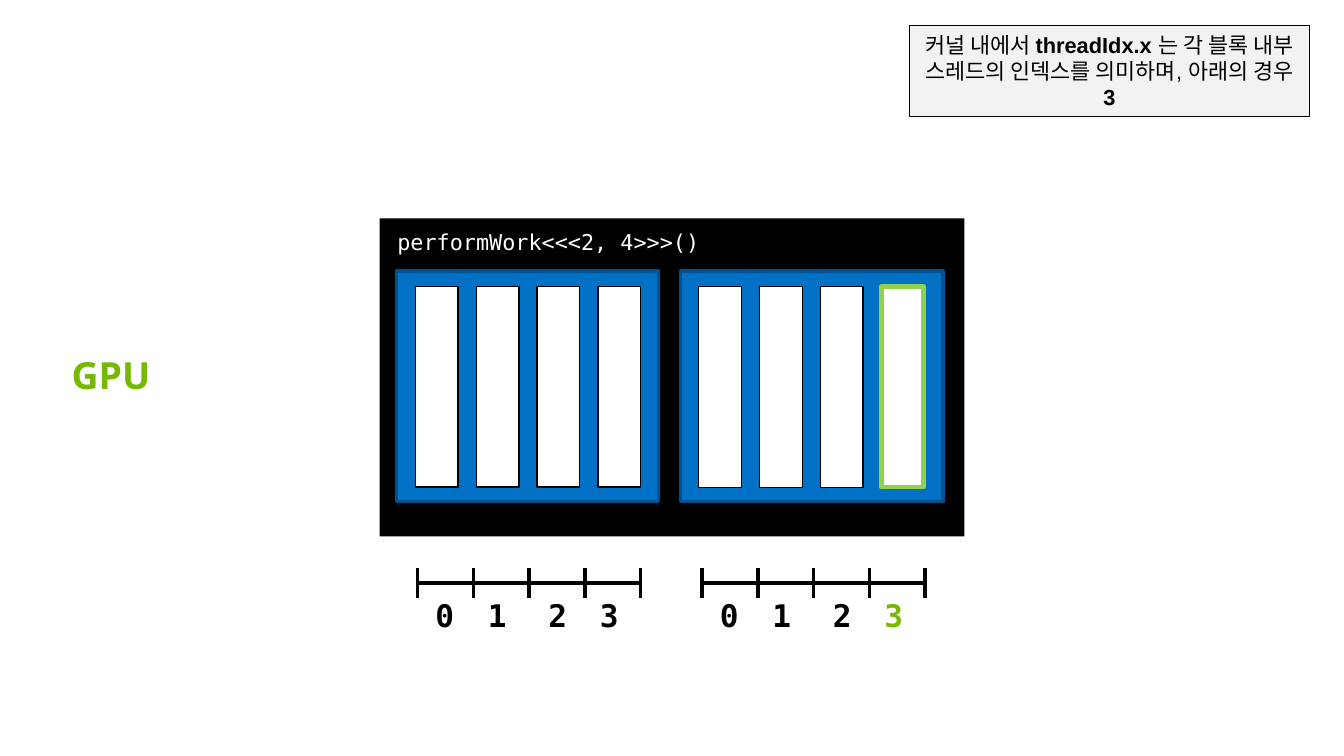
from lxml import etree
from pptx import Presentation
from pptx import util as u
from pptx.dml import color
from pptx.enum import shapes, text
from pptx.oxml import ns

Inches, Pt = u.Inches, u.Pt
BLACK, WHITE, GREEN = "000000", "FFFFFF", "76B900"
MONO = "DejaVu Sans Mono"
LEFT, CENTER = text.PP_ALIGN.LEFT, text.PP_ALIGN.CENTER
TOP, MIDDLE, BOTTOM = text.MSO_ANCHOR.TOP, text.MSO_ANCHOR.MIDDLE, text.MSO_ANCHOR.BOTTOM
THREADS = 4


def rgb(value):
    return color.RGBColor.from_string(value)


def add_rect(parent, left, top, width, height, fill, line=None, weight=0.75):
    rect = parent.shapes.add_shape(shapes.MSO_SHAPE.RECTANGLE, Inches(left), Inches(top),
                                   Inches(width), Inches(height))
    rect.shadow.inherit = False
    rect.fill.solid()
    rect.fill.fore_color.rgb = rgb(fill)
    if line:
        rect.line.color.rgb = rgb(line)
        rect.line.width = Pt(weight)
    else:
        rect.line.fill.background()
    return rect


def add_line(parent, x1, y1, x2, y2):
    line = parent.shapes.add_connector(shapes.MSO_CONNECTOR.STRAIGHT, Inches(x1), Inches(y1),
                                       Inches(x2), Inches(y2))
    line.line.color.rgb = rgb(BLACK)
    line.line.width = Pt(2.25)
    etree.SubElement(line._element.spPr, ns.qn("a:effectLst"))


def write(box, spans, size, font, ink, align=LEFT, anchor=MIDDLE):
    frame = box.text_frame
    frame.auto_size = text.MSO_AUTO_SIZE.NONE
    frame.word_wrap = True
    frame.vertical_anchor = anchor
    para = frame.paragraphs[0]
    para.alignment = align
    for words, bold in spans:
        span = para.add_run()
        span.text = words
        span.font.size = Pt(size)
        span.font.name = font
        span.font.bold = bold
        span.font.color.rgb = rgb(ink)
    return para


def add_gpu_title(page, left, top, width, height):
    title = page.shapes.title
    title.left, title.top = Inches(left), Inches(top)
    title.width, title.height = Inches(width), Inches(height)
    para = write(title, [("GPU", True)], 24, "Noto Sans", GREEN, anchor=BOTTOM)
    para.line_spacing = 0.9


def add_callout(page, left, top, width, height):
    box = add_rect(page, left, top, width, height, "F2F2F2", BLACK)
    spans = [("커널 내에서 ", False), ("threadIdx.x", True),
             (" 는 각 블록 내부 스레드의 인덱스를 의미하며, 아래의 경우 ", False), ("3", True)]
    write(box, spans, 14, "Arial", BLACK, CENTER, TOP)


def add_grid(page, left, top, width, height):
    add_rect(page, left, top, width, height, BLACK)
    label = add_rect(page, left + 0.06, top + 0.04, 3.06, 0.34, BLACK)
    write(label, [("performWork<<<2, 4>>>()", False)], 14, MONO, WHITE)


def add_block(page, left, top, width, height, first_thread, weight, selected):
    add_rect(page, left, top, width, height, "0071C5", "00528F", 2)
    for index in range(THREADS):
        line, thickness = ("92D050", 3) if index == selected else (BLACK, weight)
        add_rect(page, left + first_thread + index * 0.543, top + 0.14, 0.38, 1.79,
                 WHITE, line, thickness)


def add_ruler(page, left, top, width, height, selected):
    ruler = page.shapes.add_group_shape()
    add_line(ruler, left, top + height / 2, left + width, top + height / 2)
    for index in range(THREADS + 1):
        x = left + index * width / THREADS
        add_line(ruler, x, top, x, top + height)
    for index, offset in enumerate((-0.02, 0.45, 0.99, 1.45)):
        digit = ruler.shapes.add_textbox(Inches(left + offset), Inches(top + 0.2),
                                         Inches(0.52), Inches(0.44))
        ink = GREEN if index == selected else BLACK
        write(digit, [(str(index), True)], 20, MONO, ink, CENTER)


deck = Presentation()
deck.slide_width, deck.slide_height = Inches(12), Inches(6.75)
page = deck.slides.add_slide(deck.slide_layouts.get_by_name("Title Only"))

add_gpu_title(page, 0.54, 3.14, 0.97, 0.46)
add_callout(page, 8.12, 0.23, 3.57, 0.81)
add_grid(page, 3.39, 1.95, 5.22, 2.84)
for left, first_thread, weight, selected in ((3.54, 0.17, 1, None), (6.08, 0.16, 0.75, 3)):
    add_block(page, left, 2.42, 2.34, 2.06, first_thread, weight, selected)
    add_ruler(page, left + 0.19, 5.07, 1.99, 0.27, selected)

deck.save("out.pptx")
